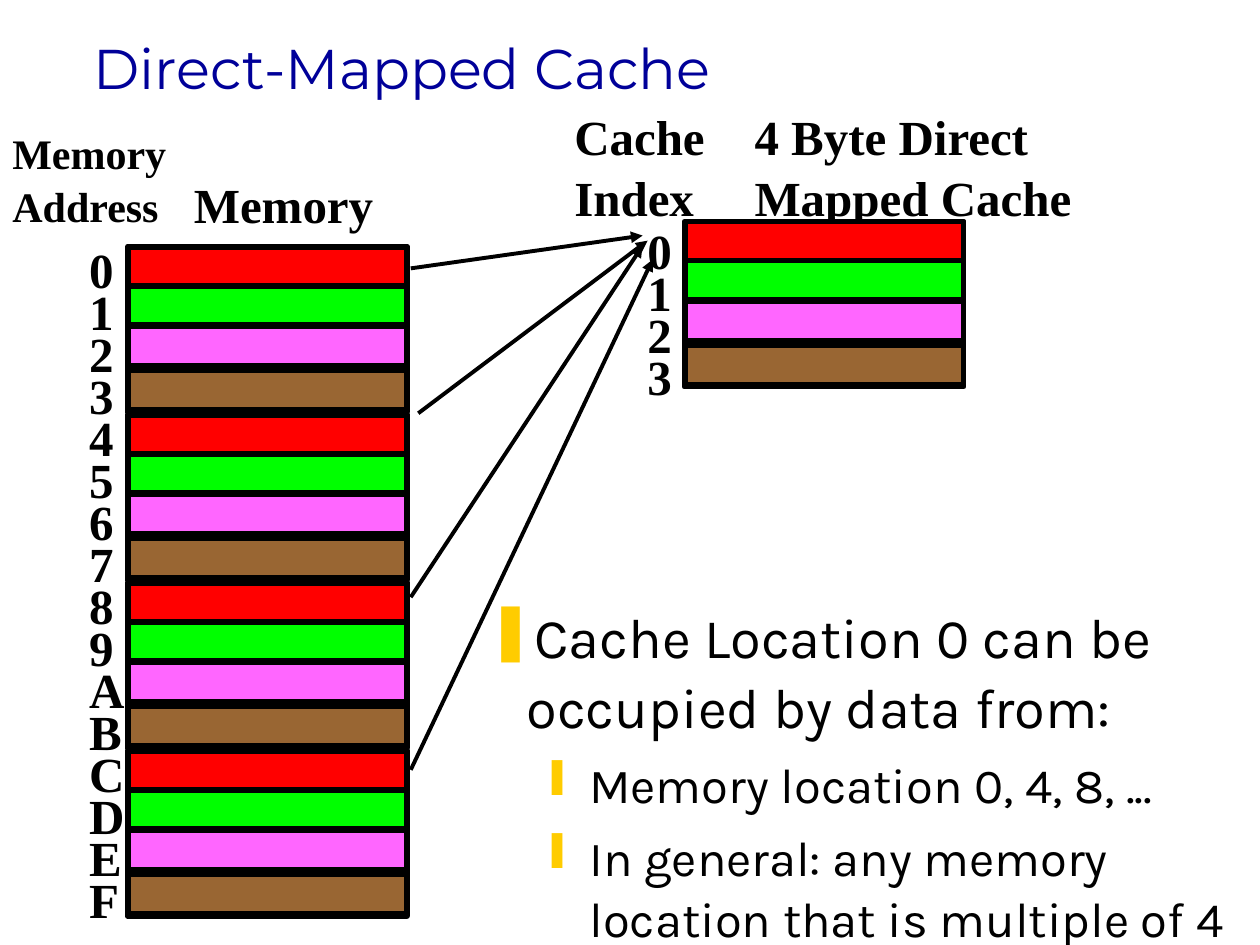
from dataclasses import dataclass

import pptx
import pptx.dml.color
import pptx.enum.shapes
import pptx.enum.text
import pptx.oxml
import pptx.oxml.ns
import pptx.util
from pptx.util import Inches


@dataclass(frozen=True)
class Theme:
    title_font: str = "Montserrat"
    body_font: str = "Karla"
    label_font: str = "Times New Roman"
    title_color: str = "000099"
    ink: str = "000000"
    bullet_color: str = "FFCC00"
    bands: tuple = ("FF0000", "00FF00", "FF66FF", "996633")
    large: int = 32
    medium: int = 28
    small: int = 24
    border: float = 3
    arrow: float = 2.25
    line_spacing: float = 1.04


THEME = Theme()
BLOCK_WIDTH, BLOCK_HEIGHT, BLOCK_PITCH = 2.22, 1.31, 4 / 3
BAND_TOPS = (0, 0.31, 0.63, 0.98)
BAND_HEIGHT = 0.31
LABEL_PITCH = 1 / 3


def rgb(color):
    return pptx.dml.color.RGBColor.from_string(color)


def add_xml(parent, tag, attributes="", content=""):
    namespace = pptx.oxml.ns.nsdecls("a")
    element = pptx.oxml.parse_xml(
        f"<a:{tag} {namespace} {attributes}>{content}</a:{tag}>")
    parent.append(element)


def format_paragraph(paragraph, font, size, color, bold=False):
    paragraph.line_spacing = THEME.line_spacing
    for run in paragraph.runs:
        run.font.name = font
        run.font.size = pptx.util.Pt(size)
        run.font.bold = bold
        run.font.color.rgb = rgb(color)


def add_label(shapes, text, left, top, width, height, size=THEME.medium):
    box = shapes.add_textbox(Inches(left), Inches(top), Inches(width), Inches(height))
    box.text_frame.word_wrap = True
    box.text_frame.text = text
    for paragraph in box.text_frame.paragraphs:
        format_paragraph(paragraph, THEME.label_font, size, THEME.ink, bold=True)


def add_line(shapes, start, end, width, arrowhead=False):
    line = shapes.add_connector(
        pptx.enum.shapes.MSO_CONNECTOR.STRAIGHT,
        Inches(start[0]), Inches(start[1]), Inches(end[0]), Inches(end[1]))
    line.line.color.rgb = rgb(THEME.ink)
    line.line.width = pptx.util.Pt(width)
    properties = line._element.spPr
    if arrowhead:
        add_xml(properties.find(pptx.oxml.ns.qn("a:ln")), "tailEnd", 'type="triangle"')
    add_xml(properties, "effectLst")


def add_rectangle(shapes, left, top, width, height, fill=None):
    rectangle = shapes.add_shape(
        pptx.enum.shapes.MSO_SHAPE.RECTANGLE,
        Inches(left), Inches(top), Inches(width), Inches(height))
    rectangle.shadow.inherit = False
    rectangle.line.color.rgb = rgb(THEME.ink)
    rectangle.line.width = pptx.util.Pt(THEME.border)
    if fill:
        rectangle.fill.solid()
        rectangle.fill.fore_color.rgb = rgb(fill)
    else:
        rectangle.fill.background()


def add_block(shapes, left, top):
    """Four bytes: an outer frame, its dividers and the coloured bands."""
    add_rectangle(shapes, left, top, BLOCK_WIDTH, BLOCK_HEIGHT)
    for divider in (0.32, 0.65, 0.98):
        add_line(shapes, (left, top + divider), (left + BLOCK_WIDTH, top + divider),
                 THEME.border)
    for offset, color in zip(BAND_TOPS, THEME.bands):
        add_rectangle(shapes, left + 0.01, top + offset, BLOCK_WIDTH - 0.01,
                      BAND_HEIGHT, color)


def add_index_labels(shapes, digits, left, top):
    for row, digit in enumerate(digits):
        width = 0.39 if digit.isdigit() else 0.48
        add_label(shapes, digit, left, top + row * LABEL_PITCH, width, 0.56)


def add_title(slide):
    title = slide.shapes.title
    title.left, title.top = Inches(0.64), Inches(0.3)
    title.width, title.height = Inches(6.99), Inches(0.45)
    frame = title.text_frame
    frame.text = "Direct-Mapped Cache"
    frame.auto_size = pptx.enum.text.MSO_AUTO_SIZE.NONE
    frame.vertical_anchor = pptx.enum.text.MSO_ANCHOR.MIDDLE
    paragraph = frame.paragraphs[0]
    paragraph.alignment = pptx.enum.text.PP_ALIGN.LEFT
    format_paragraph(paragraph, THEME.title_font, THEME.large, THEME.title_color)


def add_bullets(slide):
    box = slide.shapes.add_textbox(Inches(3.77), Inches(4.71), Inches(6.35), Inches(2.85))
    frame = box.text_frame
    frame.word_wrap = True
    frame.text = "\n".join((
        "Cache Location 0 can be occupied by data from:",
        "Memory location 0, 4, 8, ...",
        "In general: any memory location that is multiple of 4"))
    for position, paragraph in enumerate(frame.paragraphs):
        is_sub = position > 0
        paragraph.level = int(is_sub)
        if is_sub:
            paragraph.space_before = pptx.util.Pt(7)
        format_paragraph(paragraph, THEME.body_font,
                         THEME.medium if is_sub else THEME.large, THEME.ink)
        properties = paragraph._p.get_or_add_pPr()
        properties.set("marL", str(Inches(0.81 if is_sub else 0.31)))
        properties.set("indent", str(Inches(-0.31)))
        add_xml(properties, "buClr", content=f'<a:srgbClr val="{THEME.bullet_color}"/>')
        add_xml(properties, "buChar", f'char="{"❙" if is_sub else "❚"}"')


def add_arrows(slide):
    shapes = slide.shapes.add_group_shape().shapes
    for start, end in (((3.26, 2.13), (5.1, 1.87)), ((3.32, 3.28), (5.14, 1.91)),
                       ((3.26, 4.74), (5.1, 1.95)), ((3.26, 6.11), (5.18, 2.06))):
        add_line(shapes, start, end, THEME.arrow, arrowhead=True)


def add_memory(slide):
    shapes = slide.shapes.add_group_shape().shapes
    add_label(shapes, "Memory", 1.44, 1.32, 1.62, 0.56)
    add_label(shapes, "Memory\vAddress", 0, 0.95, 1.5, 0.9, THEME.small)
    add_index_labels(shapes, "0123456789ABCDEF", 0.61, 1.83)
    for block in range(4):
        add_block(shapes, 1.01, 1.96 + block * BLOCK_PITCH)


def add_cache(slide):
    shapes = slide.shapes.add_group_shape().shapes
    add_label(shapes, "4 Byte Direct\nMapped Cache", 5.89, 0.78, 2.75, 1.03)
    add_label(shapes, "Cache\nIndex", 4.46, 0.78, 1.33, 1.03)
    add_index_labels(shapes, "0123", 5.04, 1.68)
    add_block(shapes, 5.43, 1.76)


def main():
    presentation = pptx.Presentation()
    presentation.slide_width, presentation.slide_height = Inches(10), Inches(7.5)
    slide = presentation.slides.add_slide(presentation.slide_layouts[5])

    # Title and explanation
    add_title(slide)
    add_bullets(slide)

    # Memory addresses mapped onto the cache
    add_arrows(slide)
    add_memory(slide)
    add_cache(slide)

    presentation.save("out.pptx")


if __name__ == "__main__":
    main()
